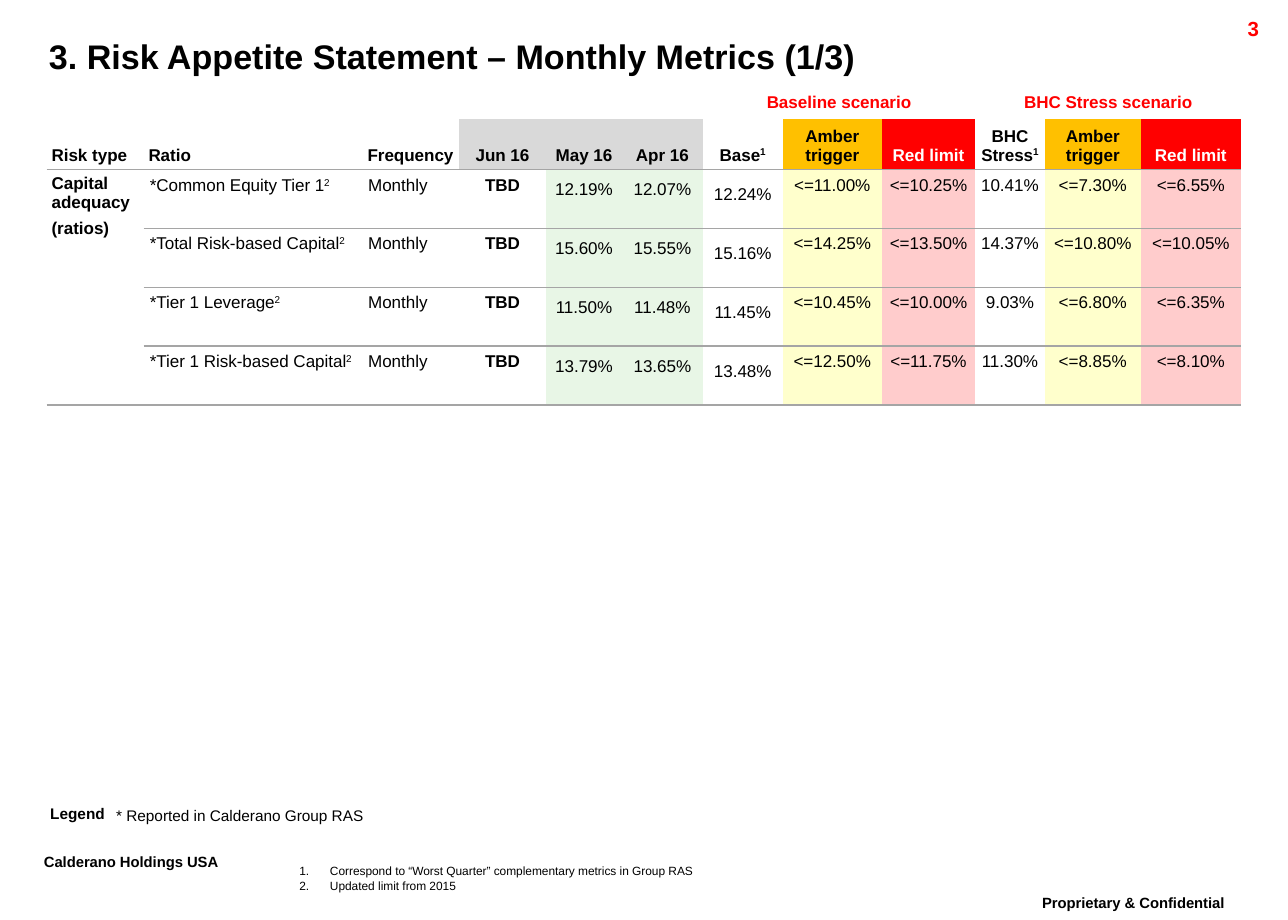
import dataclasses
import pptx
import pptx.dml.color
import pptx.enum.text
import pptx.oxml
import pptx.oxml.ns
import pptx.util

Pt = pptx.util.Pt
RGB = pptx.dml.color.RGBColor.from_string
qn = pptx.oxml.ns.qn
ALIGN = pptx.enum.text.PP_ALIGN
ANCHOR = pptx.enum.text.MSO_ANCHOR


@dataclasses.dataclass(frozen=True)
class Theme:
    """Colours, type sizes and font of the slide."""
    font: str = "Arial"
    black: str = "000000"
    white: str = "FFFFFF"
    red: str = "FF0000"
    amber: str = "FFC000"
    grey: str = "D9D9D9"
    rule: str = "A5A5A5"
    green: str = "E8F6E6"
    yellow: str = "FFFFCC"
    pink: str = "FFCCCC"
    title: int = 20
    foot: int = 15
    page: int = 12
    cell: int = 10
    legend: int = 9
    note: int = 7


T = Theme()
PLAIN = "{2D5ABB26-0587-4C30-8999-92F81FD0307C}"
COLS = [56.9, 128.2, 56.9, 51.1, 44.6, 47.5, 46.8, 58.3, 54.7, 41, 56.2, 59]
ROWS = [18, 29.5] + [34.55] * 4
HEADS = ["Risk type", "Ratio", "Frequency", "Jun 16", "May 16", "Apr 16", "Base^1",
         "Amber trigger", "Red limit", "BHC Stress^1", "Amber trigger", "Red limit"]
HEADFILL = [None] * 3 + [T.grey] * 3 + [None, T.amber, T.red] * 2
BODYFILL = [None] * 4 + [T.green] * 2 + [None, T.yellow, T.pink] * 2
RATIOS = [
    ("*Common Equity Tier 1^2", "12.19%", "12.07%", "12.24%",
     "<=11.00%", "<=10.25%", "10.41%", "<=7.30%", "<=6.55%"),
    ("*Total Risk-based Capital^2", "15.60%", "15.55%", "15.16%",
     "<=14.25%", "<=13.50%", "14.37%", "<=10.80%", "<=10.05%"),
    ("*Tier 1 Leverage^2", "11.50%", "11.48%", "11.45%",
     "<=10.45%", "<=10.00%", "9.03%", "<=6.80%", "<=6.35%"),
    ("*Tier 1 Risk-based Capital^2", "13.79%", "13.65%", "13.48%",
     "<=12.50%", "<=11.75%", "11.30%", "<=8.85%", "<=8.10%"),
]


def write(para, text, size, color=T.black, bold=False, align=ALIGN.LEFT, lead=None, base=0):
    """Fill a paragraph; the part after a caret is raised."""
    body, _, mark = text.partition("^")
    para.text = body
    para.alignment = align
    if lead:
        para.line_spacing = lead
    if mark:
        para.add_run().text = mark
    for run, rise in zip(para.runs, (base, 30000)):
        run.font.name, run.font.size, run.font.bold = T.font, Pt(size), bold
        run.font.color.rgb = RGB(color)
        if rise:
            run.font._element.set("baseline", str(rise))


def frame(slide, box, inset=True, wrap=True):
    """Add a text box and return its frame."""
    text = slide.shapes.add_textbox(*map(Pt, box)).text_frame
    text.word_wrap = wrap
    if not inset:
        text.margin_left = text.margin_right = text.margin_top = text.margin_bottom = 0
    return text


def label(slide, box, text, size, inset=True, wrap=True, **look):
    """Add a text box with one tight line."""
    write(frame(slide, box, inset, wrap).paragraphs[0], text, size, lead=0.86, **look)


def style(cell, fill=None, sides="", inset=(3.6,) * 4):
    """Set the rules, fill and margins of a cell."""
    props = cell._tc.get_or_add_tcPr()
    for side in "LRTB":
        line = pptx.oxml.parse_xml(
            f'<a:ln{side} {pptx.oxml.ns.nsdecls("a")} w="12700"><a:solidFill>'
            f'<a:srgbClr val="{T.rule}"/></a:solidFill></a:ln{side}>'
            if side in sides else
            f'<a:ln{side} {pptx.oxml.ns.nsdecls("a")} w="0"><a:noFill/></a:ln{side}>')
        props.append(line)
    if fill:
        cell.fill.solid()
        cell.fill.fore_color.rgb = RGB(fill)
    else:
        cell.fill.background()
    cell.margin_left, cell.margin_top, cell.margin_right, cell.margin_bottom = map(Pt, inset)


def strong(cell, lines, color=T.black, align=ALIGN.CENTER):
    """Write bold spaced lines in a cell."""
    cell.text_frame.text = "\n".join(lines)
    for para, line in zip(cell.text_frame.paragraphs, lines):
        write(para, line, T.cell, color, True, align)
        para.space_before = para.space_after = Pt(2)


def heads(table):
    """Fill the scenario row and the header row."""
    tight = (2.88,) * 4
    for col in range(len(COLS)):
        cell = table.cell(0, col)
        style(cell, T.white if col > 2 else None, inset=tight)
        para = cell.text_frame.paragraphs[0]._p
        para.append(pptx.oxml.parse_xml(
            f'<a:endParaRPr {pptx.oxml.ns.nsdecls("a")} sz="{T.cell * 100}"/>'))
    for col, name in ((6, "Baseline scenario"), (9, "BHC Stress scenario")):
        table.cell(0, col).merge(table.cell(0, col + 2))
        strong(table.cell(0, col), [name], T.red)
    for col, (name, fill) in enumerate(zip(HEADS, HEADFILL)):
        cell = table.cell(1, col)
        style(cell, fill, "B", tight)
        cell.vertical_anchor = ANCHOR.BOTTOM
        strong(cell, [name], T.white if fill == T.red else T.black,
               ALIGN.LEFT if col < 2 else ALIGN.CENTER)


def ratios(table):
    """Fill the ratio rows and the risk type beside them."""
    for row, (ratio, *values) in enumerate(RATIOS, 2):
        for col, text in enumerate([ratio, "Monthly", "TBD", *values], 1):
            cell = table.cell(row, col)
            past = col in (4, 5)
            style(cell, BODYFILL[col], "TB", (0.72, 0.72, 0.72, 0) if past else (3.6,) * 4)
            write(cell.text_frame.paragraphs[0], text, T.cell, bold=col == 3,
                  align=ALIGN.LEFT if col < 3 else ALIGN.CENTER,
                  lead=1.5 if col in (4, 5, 6) else None)
    risk = table.cell(2, 0)
    risk.merge(table.cell(len(ROWS) - 1, 0))
    style(risk, sides="TB", inset=(2.88,) * 4)
    strong(risk, ["Capital adequacy", "(ratios)"], align=ALIGN.LEFT)


def metrics(slide, box):
    """Build the table of monthly metrics."""
    table = slide.shapes.add_table(len(ROWS), len(COLS), *map(Pt, box)).table
    table.first_row = table.horz_banding = False
    table._tbl.tblPr.find(qn("a:tableStyleId")).text = PLAIN
    for col, width in zip(table.columns, COLS):
        col.width = Pt(width)
    for row, height in zip(table.rows, ROWS):
        row.height = Pt(height)
    heads(table)
    ratios(table)


def header(slide, box):
    """Place the title and the page number."""
    x, y, w, h = box
    label(slide, (x, y + 13, 707, 28), "3. Risk Appetite Statement – Monthly Metrics (1/3)",
          T.title, bold=True)
    label(slide, (x + w - 72, y, 72, 17), "3", T.page, color=T.red, bold=True, align=ALIGN.RIGHT)


def legend(slide, box):
    """Place the legend and its meaning."""
    x, y, w, h = box
    label(slide, (x, y, 47, h), "Legend", T.legend, inset=False, bold=True)
    label(slide, (x + 38, y + 0.7, w - 38, h), "* Reported in Calderano Group RAS",
          T.legend, inset=False, align=ALIGN.CENTER)


def notes(slide, box):
    """Place the numbered footnotes."""
    lines = ["Correspond to “Worst Quarter” complementary metrics in Group RAS",
             "Updated limit from 2015"]
    text = frame(slide, box, inset=False)
    text.text = "\n".join(lines)
    for para, line in zip(text.paragraphs, lines):
        write(para, line, T.note)
        props = para._p.get_or_add_pPr()
        props.set("marL", str(Pt(18)))
        props.set("indent", str(-Pt(18)))
        props.append(pptx.oxml.parse_xml(
            f'<a:buAutoNum {pptx.oxml.ns.nsdecls("a")} type="arabicPeriod"/>'))


def footer(slide, box):
    """Place the company name and the privacy mark."""
    x, y, w, h = box
    label(slide, (x, y, 138, 25), "Calderano Holdings USA", T.foot, wrap=False,
          bold=True, base=30000)
    label(slide, (x + w - 157, y + h - 25, 157, 25), "Proprietary & Confidential", T.foot,
          bold=True, align=ALIGN.CENTER, base=30000)


def main():
    """Build the deck and save it."""
    deck = pptx.Presentation()
    deck.slide_width, deck.slide_height = Pt(756), Pt(540)
    slide = deck.slides.add_slide(deck.slide_layouts[6])
    footer(slide, (18.7, 497.5, 725, 49.5))
    metrics(slide, (27.4, 51.8, sum(COLS), sum(ROWS)))
    notes(slide, (175.7, 507, 394, 26))
    legend(slide, (29.5, 473.8, 184.5, 9.4))
    header(slide, (21.6, 7.9, 724.4, 42))
    deck.save("out.pptx")


main()
